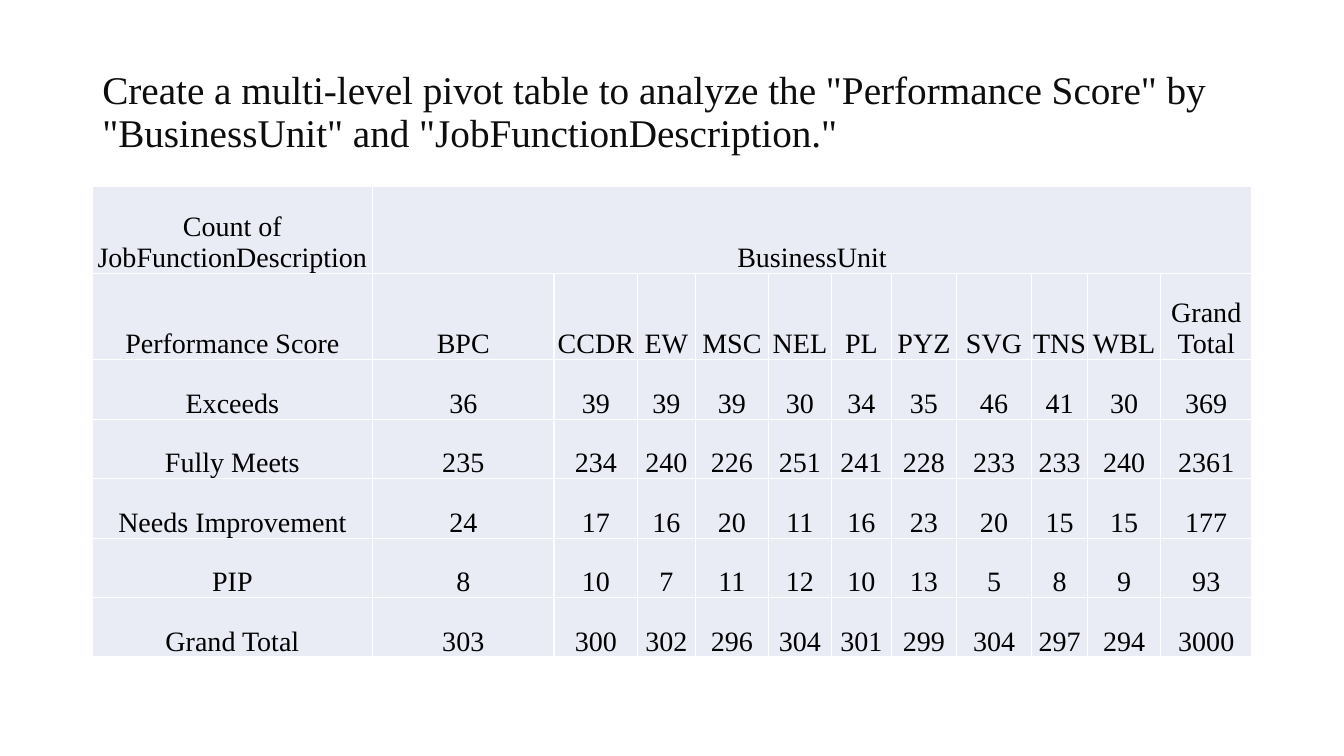
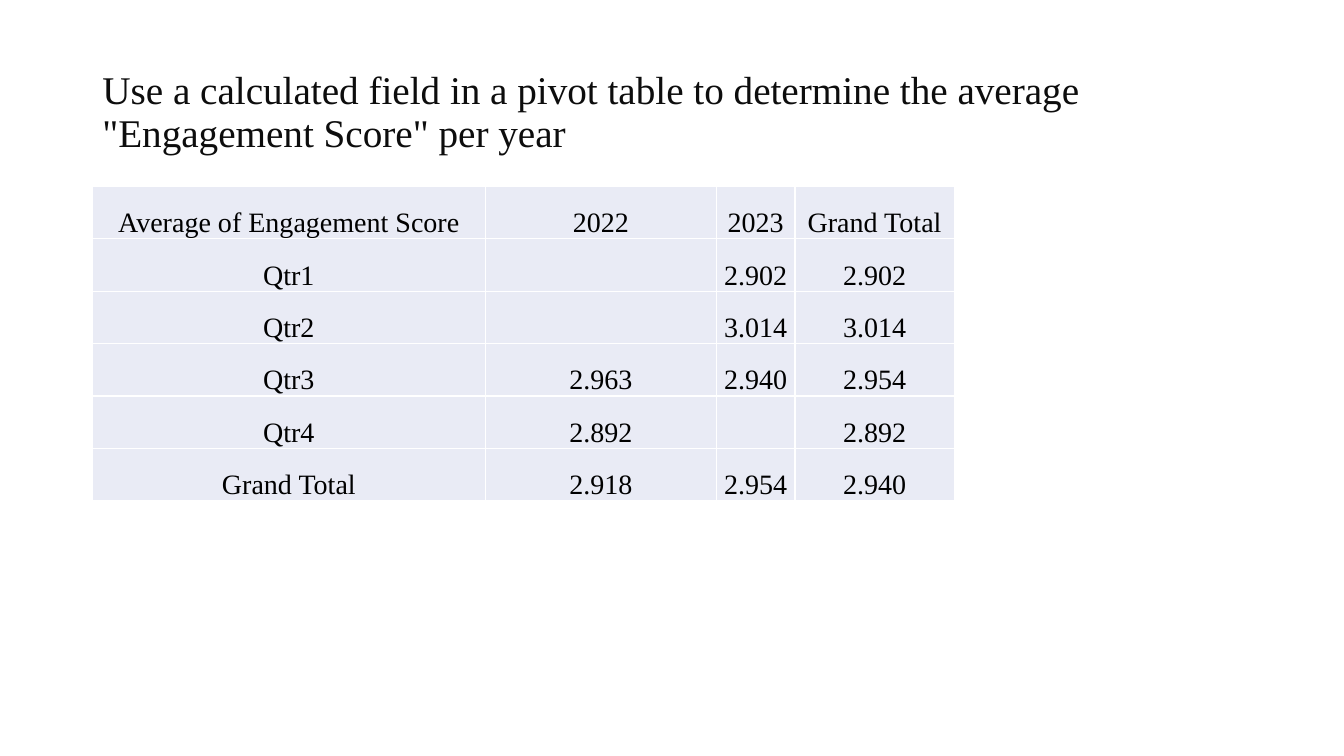
from lxml.etree import SubElement
from pptx import Presentation
from pptx.dml.color import RGBColor
from pptx.enum.text import MSO_ANCHOR, MSO_AUTO_SIZE, PP_ALIGN
from pptx.oxml.ns import qn
from pptx.util import Inches, Pt

TITLE = RGBColor(0x0D, 0x0D, 0x0D)
BLACK = RGBColor(0, 0, 0)
WHITE = RGBColor(0xFF, 0xFF, 0xFF)
PALE = RGBColor(0xE9, 0xEB, 0xF5)

TITLE_FONT = {"name": "Times New Roman", "size": Pt(28)}
CELL_FONT = {"name": "Times New Roman", "size": Pt(20)}
CELL_FORMAT = {
    "vertical_anchor": MSO_ANCHOR.BOTTOM,
    "margin_left": Inches(0.01),
    "margin_right": Inches(0.01),
    "margin_top": Inches(0.01),
    "margin_bottom": 0,
}

prs = Presentation()
prs.slide_width, prs.slide_height = Inches(13.33), Inches(7.5)
COL = Inches(0.01)
ROW = prs.slide_height // 150
WIDTH = 1150 * COL
LEFT = (prs.slide_width - WIDTH) // 2
TITLE_TOP, TITLE_ROWS = 8 * ROW, 29 * ROW
TABLE_TOP = TITLE_TOP + TITLE_ROWS

slides = [
    {
        "title": 'Create a multi-level pivot table to analyze the "Performance Score" by '
                 '"BusinessUnit" and "JobFunctionDescription."',
        "cols": [278, 180, 83, 57, 73, 62, 60, 64, 75, 55, 73, 90],
        "rows": [86] * 2 + [59] * 5,
        "data": [
            ["Count of JobFunctionDescription", "BusinessUnit"],
            ["Performance Score", "BPC", "CCDR", "EW", "MSC", "NEL", "PL",
             "PYZ", "SVG", "TNS", "WBL", "Grand Total"],
            ["Exceeds", 36, 39, 39, 39, 30, 34, 35, 46, 41, 30, 369],
            ["Fully Meets", 235, 234, 240, 226, 251, 241, 228, 233, 233, 240, 2361],
            ["Needs Improvement", 24, 17, 16, 20, 11, 16, 23, 20, 15, 15, 177],
            ["PIP", 8, 10, 7, 11, 12, 10, 13, 5, 8, 9, 93],
            ["Grand Total", 303, 300, 302, 296, 304, 301, 299, 304, 297, 294, 3000],
        ],
    },
    {
        "title": 'Use a calculated field in a pivot table to determine the average '
                 '"Engagement Score" per year',
        "cols": [390, 229, 78, 158],
        "rows": [52] * 6,
        "data": [
            ["Average of Engagement Score", "2022", "2023", "Grand Total"],
            ["Qtr1", "", "2.902", "2.902"],
            ["Qtr2", "", "3.014", "3.014"],
            ["Qtr3", "2.963", "2.940", "2.954"],
            ["Qtr4", "2.892", "", "2.892"],
            ["Grand Total", "2.918", "2.954", "2.940"],
        ],
    },
]


def apply(obj, formats):
    for name, value in formats.items():
        setattr(obj, name, value)


def add_text(p, text, font, color):
    r = p.add_run()
    r.text = str(text)
    apply(r.font, font)
    r.font.color.rgb = color


for content in slides:
    s = prs.slides.add_slide(prs.slide_layouts[5])
    sp = s.shapes.title
    apply(sp, {"left": LEFT, "top": TITLE_TOP, "width": WIDTH, "height": TITLE_ROWS})
    tf = sp.text_frame
    apply(tf, {"word_wrap": True, "auto_size": MSO_AUTO_SIZE.NONE,
               "vertical_anchor": MSO_ANCHOR.MIDDLE})
    p = tf.paragraphs[0]
    apply(p, {"alignment": PP_ALIGN.LEFT, "line_spacing": 0.9})
    add_text(p, content["title"], TITLE_FONT, TITLE)

    cols, rows, data = content["cols"], content["rows"], content["data"]
    tbl = s.shapes.add_table(len(rows), len(cols), LEFT, TABLE_TOP,
                             sum(cols) * COL, sum(rows) * COL).table
    apply(tbl, {"first_row": False, "horz_banding": False})
    for column, width in zip(tbl.columns, cols):
        column.width = width * COL
    for row, height in zip(tbl.rows, rows):
        row.height = height * COL

    for cell in tbl.iter_cells():
        apply(cell, CELL_FORMAT)
        tcPr = cell._tc.get_or_add_tcPr()
        for side in ("a:lnL", "a:lnR", "a:lnT", "a:lnB"):
            ln = SubElement(tcPr, qn(side), w=str(Pt(1)))
            fill = SubElement(ln, qn("a:solidFill"))
            SubElement(fill, qn("a:srgbClr"), val=str(WHITE))
        cell.fill.solid()
        cell.fill.fore_color.rgb = PALE

    for i, values in enumerate(data):
        for j, value in enumerate(values):
            if value != "":
                p = tbl.cell(i, j).text_frame.paragraphs[0]
                p.alignment = PP_ALIGN.CENTER
                add_text(p, value, CELL_FONT, BLACK)
        if len(values) < len(cols):
            tbl.cell(i, len(values) - 1).merge(tbl.cell(i, len(cols) - 1))

prs.save("out.pptx")
